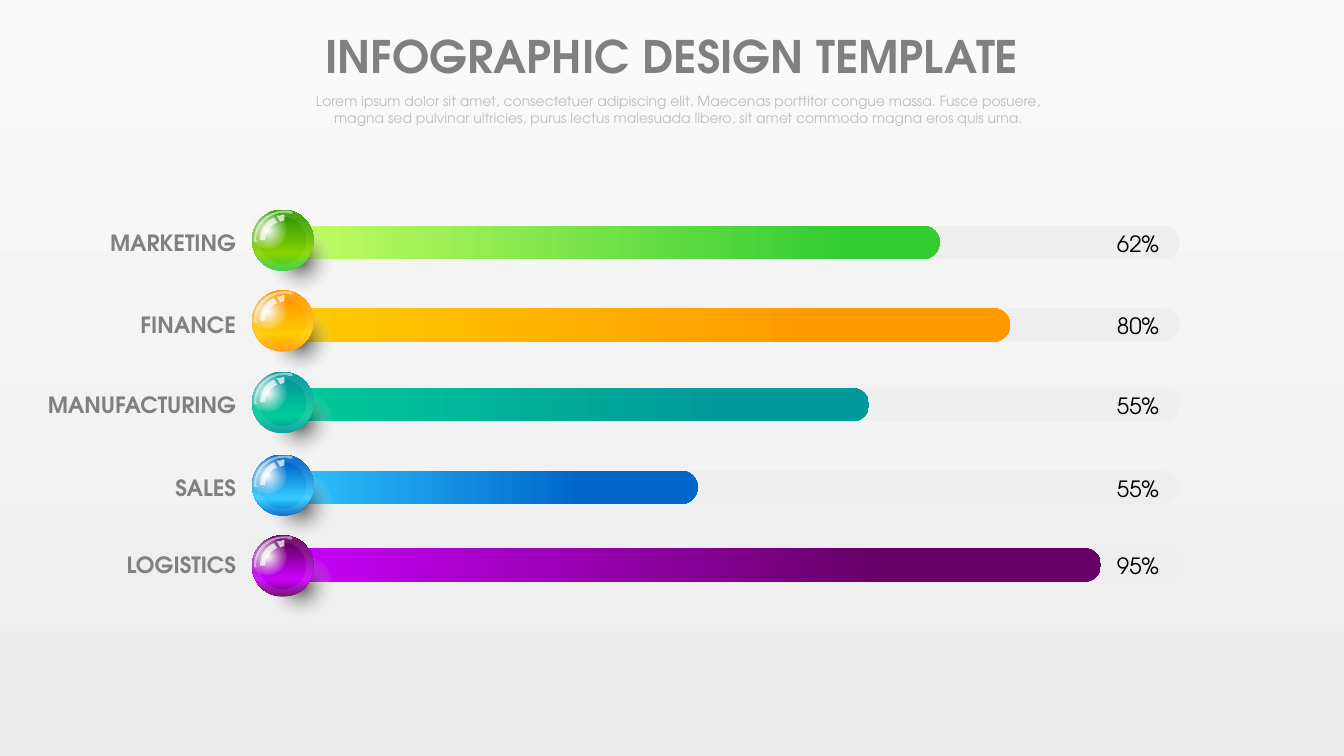
import pptx
import pptx.util
import pptx.dml.color
import pptx.enum.shapes
import pptx.enum.text
import pptx.oxml
import pptx.oxml.ns

Inches = pptx.util.Inches
SHAPES = pptx.enum.shapes.MSO_SHAPE
ALIGN = pptx.enum.text.PP_ALIGN
qn = pptx.oxml.ns.qn

FONT = "TeX Gyre Adventor"
COLORS = {
    "heading": "808080", "intro": "BFBFBF", "percent": "000000",
    "track": "EEEEEE", "shine": "FFFFFF", "shadow": "000000",
    "page_top": "F9F9F9", "page_bottom": "EDEDED",
    "lime": "CCFF66", "green": "33CC33", "grass": "88D201", "forest": "359D01",
    "yellow": "FFCC00", "orange": "FF9900",
    "mint": "00CC99", "teal": "009999",
    "sky": "33CCFF", "blue": "0066CC",
    "violet": "CC00FF", "plum": "660066",
}
TITLE = "INFOGRAPHIC DESIGN TEMPLATE"
INTRO = ("Lorem ipsum dolor sit amet, consectetuer adipiscing elit. Maecenas porttitor "
         "congue massa. Fusce posuere, magna sed pulvinar ultricies, purus lectus malesuada "
         "libero, sit amet commodo magna eros quis urna.")

# department, percent, bar top, bar width, ball top, bar colours, bar blend end, ball colours
DEPARTMENTS = [
    ("MARKETING", "62%", 2.24, 6.7, 2.08, ("lime", "green"), 86, ("green", "grass", "forest")),
    ("FINANCE", "80%", 3.06, 7.4, 2.88, ("yellow", "orange"), 77, ("orange", "yellow", "orange")),
    ("MANUFACTURING", "55%", 3.85, 6.0, 3.69, ("mint", "teal"), 77, ("teal", "mint", "teal")),
    ("SALES", "55%", 4.67, 4.3, 4.51, ("sky", "blue"), 73, ("blue", "sky", "blue")),
    ("LOGISTICS", "95%", 5.44, 8.3, 5.31, ("violet", "plum"), 74, ("plum", "violet", "plum")),
]
BAR_LEFT, TRACK_WIDTH, BAR_HEIGHT = 2.62, 9.08, 0.33
BALL_LEFT, BALL_SIZE = 2.5, 0.61

# Reflections on a ball, measured from its top left corner:
# a pair is a straight step, three pairs are a Bezier curve.
SMALL_GLINT = [(0.32, 0.05), (0.32, 0.11), (0.31, 0.11), (0.28, 0.12), (0.25, 0.07),
               (0.25, 0.06), ((0.27, 0.06), (0.29, 0.06), (0.3, 0.05))]
LONG_GLINT = [(0.22, 0.08), (0.25, 0.13), (0.24, 0.13),
              ((0.18, 0.16), (0.13, 0.23), (0.13, 0.3)), (0.08, 0.3),
              ((0.08, 0.21), (0.13, 0.12), (0.21, 0.08))]
RIM_GLINT = [(0.32, 0.01), ((0.34, 0.01), (0.36, 0.01), (0.38, 0.01)), (0.4, 0.02),
             (0.4, 0.04), (0.37, 0.04), ((0.35, 0.03), (0.33, 0.03), (0.32, 0.03)),
             ((0.17, 0.03), (0.04, 0.15), (0.04, 0.3)), (0.05, 0.32), (0.02, 0.32),
             (0.02, 0.3), ((0.02, 0.14), (0.15, 0.01), (0.32, 0.01))]


def rgb(name):
    return pptx.dml.color.RGBColor.from_string(COLORS[name])


def fill_gradient(fill, properties, stops, angle=None):
    """Stops are (position, colour, opacity) in percent; no angle means from the centre out."""
    fill.gradient()
    listed = "".join(
        f'<a:gs pos="{position * 1000}"><a:srgbClr val="{COLORS[color]}">'
        f'<a:alpha val="{opacity * 1000}"/></a:srgbClr></a:gs>'
        for position, color, opacity in stops)
    if angle is None:
        course = ('<a:path path="circle"><a:fillToRect l="50000" t="50000" '
                  'r="50000" b="50000"/></a:path>')
    else:
        course = f'<a:lin ang="{angle * 60000}" scaled="0"/>'
    gradient = pptx.oxml.parse_xml(
        f'<a:gradFill {pptx.oxml.ns.nsdecls("a")} rotWithShape="1">'
        f'<a:gsLst>{listed}</a:gsLst>{course}</a:gradFill>')
    plain = properties.find(qn("a:gradFill"))
    properties.replace(plain, gradient)


def fill_solid(shape, color, opacity=100):
    shape.fill.solid()
    shape.fill.fore_color.rgb = rgb(color)
    if opacity < 100:
        tone = shape._element.spPr.find(qn("a:solidFill"))[0]
        tone.append(pptx.oxml.parse_xml(
            f'<a:alpha {pptx.oxml.ns.nsdecls("a")} val="{opacity * 1000}"/>'))


def add_plain(shapes, kind, left, top, width, height, adjustment=None):
    """Add a preset shape without outline or shadow."""
    shape = shapes.add_shape(kind, Inches(left), Inches(top), Inches(width), Inches(height))
    shape.shadow.inherit = False
    shape.line.fill.background()
    if adjustment is not None:
        shape.adjustments[0] = adjustment
    return shape


def add_glint(shapes, outline, top, opacity, steps=8):
    points = [outline[0]]
    for step in outline[1:]:
        if not isinstance(step[0], tuple):
            points.append(step)
            continue
        corners = (points[-1], *step)
        for i in range(1, steps + 1):
            t = i / steps
            weights = ((1 - t) ** 3, 3 * t * (1 - t) ** 2, 3 * t * t * (1 - t), t ** 3)
            points.append(tuple(sum(w * corner[axis] for w, corner in zip(weights, corners))
                                for axis in (0, 1)))
    places = [(Inches(BALL_LEFT + x), Inches(top + y)) for x, y in points]
    builder = shapes.build_freeform(*places[0])
    builder.add_line_segments(places[1:], close=True)
    glint = builder.convert_to_shape()
    glint.shadow.inherit = False
    glint.line.fill.background()
    fill_solid(glint, "shine", opacity)


def add_ball(slide, top, colors):
    shapes = slide.shapes.add_group_shape().shapes
    shadow = add_plain(shapes, SHAPES.OVAL, BALL_LEFT + 0.16, top + 0.19, 0.64, 0.62)
    fill_gradient(shadow.fill, shadow._element.spPr, [(0, "shadow", 69), (77, "track", 0)])
    ball = add_plain(shapes, SHAPES.OVAL, BALL_LEFT, top, BALL_SIZE, BALL_SIZE)
    fill_gradient(ball.fill, ball._element.spPr,
                  [(position, color, 100) for position, color in zip((1, 29, 86), colors)], 270)
    ring = add_plain(shapes, SHAPES.DONUT, BALL_LEFT, top, BALL_SIZE, BALL_SIZE, 0.117)
    fill_solid(ring, "shine", 9)
    add_glint(shapes, SMALL_GLINT, top, 75)
    add_glint(shapes, LONG_GLINT, top, 75)
    glow = add_plain(shapes, SHAPES.OVAL, BALL_LEFT - 0.04, top + 0.03, 0.38, 0.36)
    fill_gradient(glow.fill, glow._element.spPr, [(0, "shine", 100), (77, "track", 0)])
    add_glint(shapes, RIM_GLINT, top, 50)


def add_text(slide, text, left, top, width, height, size, color, align, bold=False):
    box = slide.shapes.add_textbox(Inches(left), Inches(top), Inches(width), Inches(height))
    frame = box.text_frame
    frame.word_wrap = True
    frame.auto_size = pptx.enum.text.MSO_AUTO_SIZE.SHAPE_TO_FIT_TEXT
    frame.text = text
    paragraph = frame.paragraphs[0]
    paragraph.alignment = align
    font = paragraph.runs[0].font
    font.name, font.size, font.bold = FONT, pptx.util.Pt(size), bold
    font.color.rgb = rgb(color)


def add_department(slide, name, percent, bar_top, bar_width, ball_top,
                   bar_colors, blend_end, ball_colors):
    track = add_plain(slide.shapes, SHAPES.ROUNDED_RECTANGLE,
                      BAR_LEFT, bar_top, TRACK_WIDTH, BAR_HEIGHT, 0.5)
    fill_solid(track, "track")
    bar = add_plain(slide.shapes, SHAPES.ROUNDED_RECTANGLE,
                    BAR_LEFT, bar_top, bar_width, BAR_HEIGHT, 0.5)
    start, end = bar_colors
    fill_gradient(bar.fill, bar._element.spPr, [(0, start, 100), (blend_end, end, 100)], 0)
    add_ball(slide, ball_top, ball_colors)
    add_text(slide, name, 0.32, bar_top - 0.02, 2.12, 0.37, 16, "heading", ALIGN.RIGHT, True)
    add_text(slide, percent, 10.98, bar_top - 0.01, 0.87, 0.37, 16, "percent", ALIGN.LEFT)


def main():
    deck = pptx.Presentation()
    deck.slide_width, deck.slide_height = Inches(13.33), Inches(7.5)
    slide = deck.slides.add_slide(deck.slide_layouts[6])
    page_fill = slide.background.fill
    fill_gradient(page_fill, slide._element.cSld.bg.bgPr,
                  [(0, "page_top", 100), (100, "page_bottom", 100)], 90)
    for department in DEPARTMENTS:
        add_department(slide, *department)
    add_text(slide, TITLE, 0, 0.24, 13.33, 0.64, 32, "heading", ALIGN.CENTER, True)
    add_text(slide, INTRO, 2.92, 0.87, 7.61, 0.44, 10, "intro", ALIGN.CENTER)
    deck.save("out.pptx")


if __name__ == "__main__":
    main()
